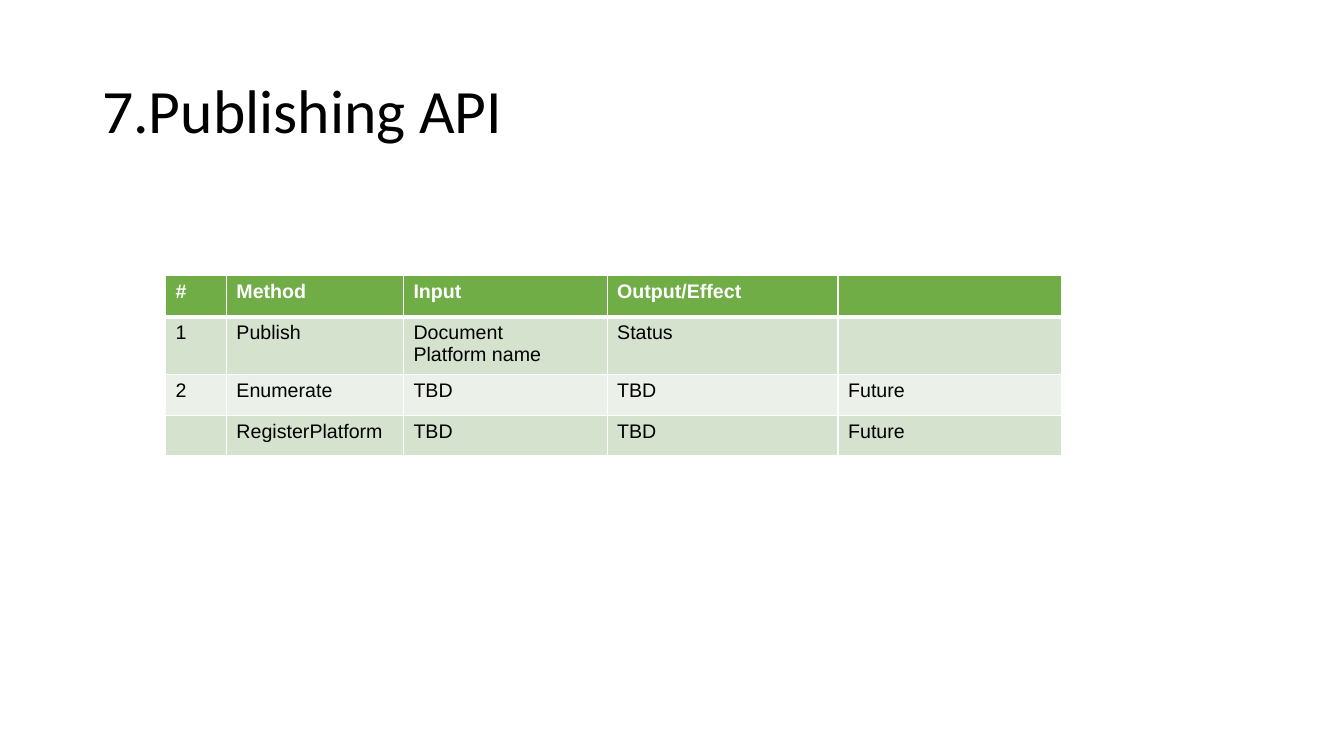
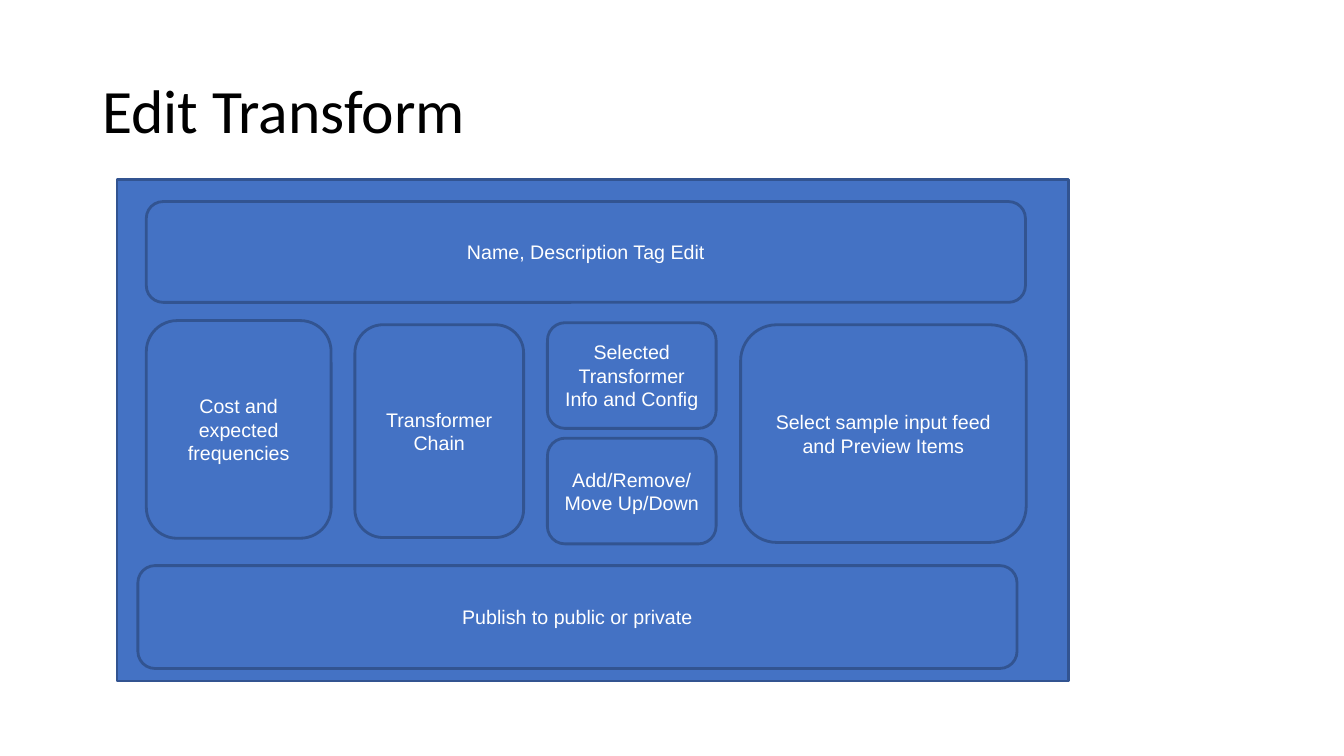
from lxml import etree
from pptx import Presentation
from pptx.dml.color import RGBColor
from pptx.enum.shapes import MSO_SHAPE
from pptx.enum.text import MSO_ANCHOR, PP_ALIGN
from pptx.oxml.ns import qn
from pptx.util import Pt

RECTANGLE = MSO_SHAPE.RECTANGLE
ROUNDED = MSO_SHAPE.ROUNDED_RECTANGLE
MIDDLE = MSO_ANCHOR.MIDDLE
LEFT = PP_ALIGN.LEFT
CENTER = PP_ALIGN.CENTER
COLORS = {
    "black": "000000",
    "white": "FFFFFF",
    "header": "70AD47",
    "odd_row": "D4E2CE",
    "even_row": "EBF1E8",
    "panel": "4472C4",
    "panel_line": "325491",
}


def color(name):
    return RGBColor.from_string(COLORS[name])


def write(frame, text, size=14, font="Arial", ink="black", bold=False, align=LEFT, spacing=1.0):
    frame.word_wrap = True
    for index, line in enumerate(text.split("\n")):
        para = frame.add_paragraph() if index else frame.paragraphs[0]
        para.alignment = align
        para.line_spacing = spacing
        span = para.add_run()
        span.text = line
        span.font.size = Pt(size)
        span.font.name = font
        span.font.bold = bold
        span.font.color.rgb = color(ink)


deck = Presentation()
deck.slide_width = Pt(960)
deck.slide_height = Pt(540)

pages = []
for title in ("7.Publishing API", "Edit Transform"):
    page = deck.slides.add_slide(deck.slide_layouts[6])
    box = page.shapes.add_textbox(Pt(66), Pt(28.8), Pt(828), Pt(104.4))
    box.text_frame.vertical_anchor = MIDDLE
    write(box.text_frame, title, size=44, font="Calibri", spacing=0.9)
    pages.append(page)
api_page, edit_page = pages

methods = [
    ("#", "Method", "Input", "Output/Effect", ""),
    ("1", "Publish", "Document\nPlatform name", "Status", ""),
    ("2", "Enumerate", "TBD", "TBD", "Future"),
    ("", "RegisterPlatform", "TBD", "TBD", "Future"),
]
column_widths = [43.5, 126.5, 145.5, 165, 159.5]
row_heights = [29.5, 29.5, 29.5, 21.6]
table = api_page.shapes.add_table(
    len(methods), len(column_widths), Pt(118.2), Pt(197), Pt(sum(column_widths)), Pt(sum(row_heights))
).table
table.horz_banding = False
for column, width in zip(table.columns, column_widths):
    column.width = Pt(width)

for row_index, (texts, height) in enumerate(zip(methods, row_heights)):
    table.rows[row_index].height = Pt(height)
    is_header = row_index == 0
    fill = "header" if is_header else "odd_row" if row_index % 2 else "even_row"
    border_widths = {
        "a:lnL": 1,
        "a:lnR": 1,
        "a:lnT": 3 if row_index == 1 else 1,
        "a:lnB": 3 if is_header else 1,
    }
    for column_index, text in enumerate(texts):
        cell = table.cell(row_index, column_index)
        write(cell.text_frame, text, ink="white" if is_header else "black", bold=is_header)
        properties = cell._tc.get_or_add_tcPr()
        for tag, width in border_widths.items():
            border = etree.SubElement(properties, qn(tag), w=str(Pt(width)))
            solid = etree.SubElement(border, qn("a:solidFill"))
            etree.SubElement(solid, qn("a:srgbClr"), val=COLORS["white"])
        cell.fill.solid()
        cell.fill.fore_color.rgb = color(fill)

panels = [
    (RECTANGLE, 83.5, 128.5, 680, 358, ""),
    (ROUNDED, 104.5, 144, 628, 72, "Name, Description Tag Edit"),
    (ROUNDED, 529, 232, 204, 155.5, "Select sample input feed and Preview Items"),
    (ROUNDED, 98.5, 404, 628, 73.5, "Publish to public or private"),
    (ROUNDED, 104.5, 229, 132, 155.5, "Cost and expected frequencies"),
    (ROUNDED, 253.5, 232, 120.5, 152, "Transformer Chain"),
    (ROUNDED, 391, 230.5, 120.5, 75.5, "Selected Transformer Info and Config"),
    (ROUNDED, 391, 313, 120.5, 75.5, "Add/Remove/Move Up/Down"),
]
for kind, left, top, width, height, text in panels:
    panel = edit_page.shapes.add_shape(kind, Pt(left), Pt(top), Pt(width), Pt(height))
    panel.shadow.inherit = False
    panel.fill.solid()
    panel.fill.fore_color.rgb = color("panel")
    panel.line.color.rgb = color("panel_line")
    panel.line.width = Pt(2)
    if text:
        panel.text_frame.vertical_anchor = MIDDLE
        write(panel.text_frame, text, ink="white", align=CENTER)

deck.save("out.pptx")
